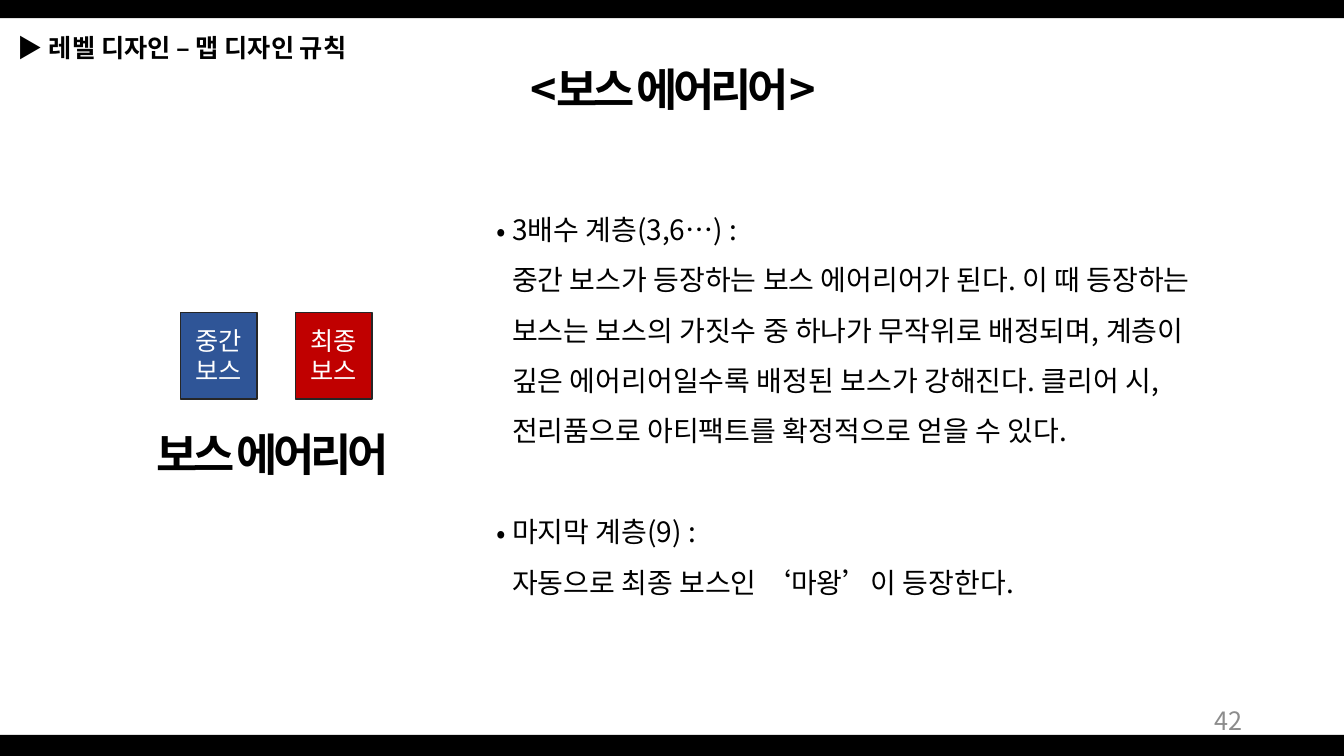
from dataclasses import dataclass

import pptx
import pptx.dml.color
import pptx.enum.shapes
import pptx.enum.text
import pptx.oxml
import pptx.oxml.ns
import pptx.util

Inches = pptx.util.Inches
Pt = pptx.util.Pt
RGBColor = pptx.dml.color.RGBColor
Align = pptx.enum.text.PP_ALIGN
Anchor = pptx.enum.text.MSO_ANCHOR
qn = pptx.oxml.ns.qn

FONT = "Noto Sans CJK KR"
BLACK = RGBColor(0x00, 0x00, 0x00)
WHITE = RGBColor(0xFF, 0xFF, 0xFF)
GRAY = RGBColor(0x8C, 0x8C, 0x8C)
BLUE = RGBColor(0x2F, 0x55, 0x97)
RED = RGBColor(0xC0, 0x00, 0x00)
OUTLINE = RGBColor(0x26, 0x26, 0x26)

SLIDE_WIDTH, SLIDE_HEIGHT = 13.33, 7.5
RULE_INDENT = 0.15


@dataclass
class Style:
    size: float
    color: RGBColor = BLACK
    bold: bool = False
    tracking: float = 0
    align: Align = Align.LEFT


@dataclass
class Label:
    text: str
    left: float
    top: float
    width: float
    height: float
    style: Style
    anchor: Anchor = Anchor.TOP


@dataclass
class Boss:
    text: str
    left: float
    fill: RGBColor


@dataclass
class Rule:
    heading: str
    body: str
    space_before: float = 0


HEADING = Style(32, bold=True, tracking=-3, align=Align.CENTER)
BREADCRUMB = Style(18, bold=True)
PAGE_NUMBER = Style(18, GRAY, align=Align.RIGHT)
BOSS_NAME = Style(18, WHITE, align=Align.CENTER)
RULE_TEXT = Style(20)

LABELS = [
    Label("<보스 에어리어>", 4.73, 0.56, 3.89, 0.64, HEADING),
    Label("보스 에어리어", 1.03, 4.18, 3.35, 0.64, HEADING),
    Label("▶ 레벨 디자인 – 맵 디자인 규칙", 0.08, 0.27, 4.65, 0.4, BREADCRUMB),
    Label("42", 9.42, 6.95, 3, 0.4, PAGE_NUMBER, Anchor.MIDDLE),
]
BOSSES = [Boss("중간\n보스", 1.79, BLUE), Boss("최종\n보스", 2.93, RED)]
RULES = [
    Rule("3배수 계층(3,6…) :",
         "중간 보스가 등장하는 보스 에어리어가 된다. 이 때 등장하는\v"
         "보스는 보스의 가짓수 중 하나가 무작위로 배정되며, 계층이\v"
         "깊은 에어리어일수록 배정된 보스가 강해진다. 클리어 시,\v"
         "전리품으로 아티팩트를 확정적으로 얻을 수 있다."),
    Rule("마지막 계층(9) :", "자동으로 최종 보스인 ‘마왕’이 등장한다.", 36),
]


def apply_style(paragraph, style: Style) -> None:
    paragraph.alignment = style.align
    for run in paragraph.runs:
        run.font.name = FONT
        run.font.size = Pt(style.size)
        run.font.bold = style.bold
        run.font.color.rgb = style.color
        properties = run.font._element
        properties.set("spc", str(round(style.tracking * 100)))
        east_asian = properties.makeelement(qn("a:ea"), {"typeface": FONT})
        properties.find(qn("a:latin")).addnext(east_asian)


def add_rectangle(slide, left: float, top: float, width: float, height: float, fill: RGBColor):
    rectangle = slide.shapes.add_shape(
        pptx.enum.shapes.MSO_SHAPE.RECTANGLE,
        Inches(left), Inches(top), Inches(width), Inches(height))
    rectangle.shadow.inherit = False
    rectangle.fill.solid()
    rectangle.fill.fore_color.rgb = fill
    rectangle.line.fill.background()
    return rectangle


def add_label(slide, label: Label) -> None:
    box = slide.shapes.add_textbox(
        Inches(label.left), Inches(label.top), Inches(label.width), Inches(label.height))
    frame = box.text_frame
    frame.word_wrap = True
    frame.vertical_anchor = label.anchor
    frame.text = label.text
    apply_style(frame.paragraphs[0], label.style)


def add_boss(slide, boss: Boss) -> None:
    tile = add_rectangle(slide, boss.left, 3.1, 0.76, 0.86, boss.fill)
    tile.line.color.rgb = OUTLINE
    tile.line.width = Pt(1)
    frame = tile.text_frame
    frame.vertical_anchor = Anchor.MIDDLE
    frame.text = boss.text
    for paragraph in frame.paragraphs:
        apply_style(paragraph, BOSS_NAME)


def set_indent(paragraph, bulleted: bool) -> None:
    properties = paragraph._p.get_or_add_pPr()
    indent = Inches(RULE_INDENT)
    properties.set("marL", str(indent))
    properties.set("indent", str(-indent if bulleted else 0))
    if bulleted:
        properties.append(properties.makeelement(qn("a:buFont"), {"typeface": FONT}))
        properties.append(properties.makeelement(qn("a:buChar"), {"char": "•"}))


def add_rules(slide, rules: list[Rule]) -> None:
    box = slide.shapes.add_textbox(Inches(4.83), Inches(1.89), Inches(8.25), Inches(4.14))
    frame = box.text_frame
    frame.word_wrap = True
    frame.text = "\n".join(text for rule in rules for text in (rule.heading, rule.body))
    for index, paragraph in enumerate(frame.paragraphs):
        is_heading = index % 2 == 0
        paragraph.line_spacing = 1.5
        if is_heading:
            paragraph.space_before = Pt(rules[index // 2].space_before)
        apply_style(paragraph, RULE_TEXT)
        set_indent(paragraph, is_heading)


def main() -> None:
    presentation = pptx.Presentation()
    presentation.slide_width = Inches(SLIDE_WIDTH)
    presentation.slide_height = Inches(SLIDE_HEIGHT)
    slide = presentation.slides.add_slide(presentation.slide_layouts[6])

    # Black bands along the bottom and top edges
    for top, height in ((7.29, 0.22), (0, 0.18)):
        add_rectangle(slide, 0, top, SLIDE_WIDTH, height, BLACK)

    # Headings, breadcrumb and page number
    for label in LABELS:
        add_label(slide, label)

    # Boss area rules
    add_rules(slide, RULES)

    # Boss tiles
    for boss in BOSSES:
        add_boss(slide, boss)

    presentation.save("out.pptx")


if __name__ == "__main__":
    main()
